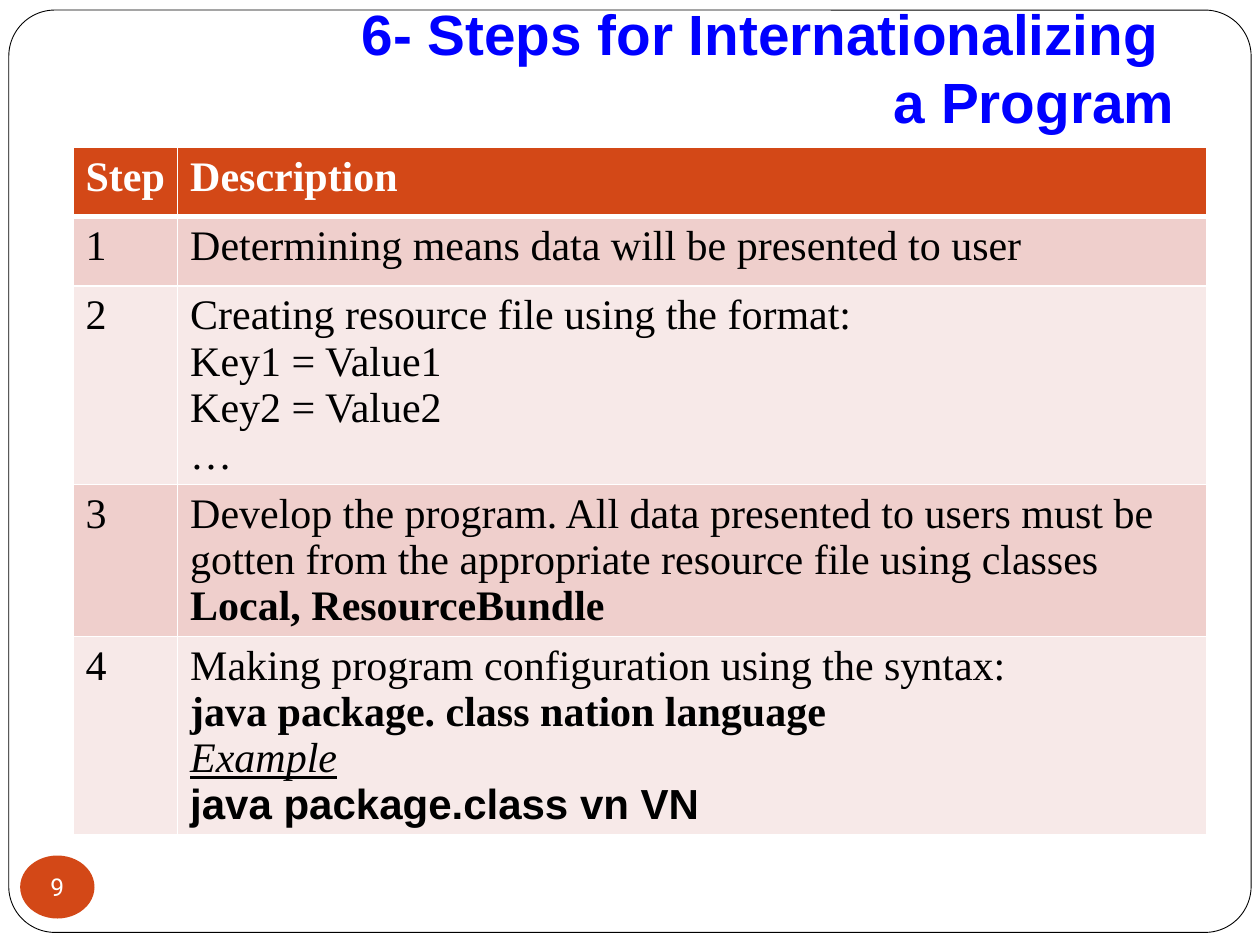
from lxml.etree import SubElement
from pptx import Presentation
from pptx.dml.color import RGBColor
from pptx.enum.shapes import MSO_SHAPE as Shape
from pptx.enum.text import MSO_ANCHOR as Anchor, MSO_AUTO_SIZE as AutoSize, PP_ALIGN as Align
from pptx.oxml.ns import qn
from pptx.util import Inches, Pt

WHITE, BLACK, BLUE, ORANGE = "FFFFFF", "000000", "0000FF", "D34817"
BANDS = ["EFCFCC", "F7E9E8"]
SERIF, SANS, NUMBER_FONT = "Times New Roman", "Arial", "Roboto"
BOLD = {"bold": True}

# Each description is a list of paragraphs, each paragraph a list of (text, style) runs
STEPS = [
    [[("Determining means data will be presented to user", {})]],
    [[("Creating resource file using the format:", {})],
     [("Key1 = Value1", {})],
     [("Key2 = Value2", {})],
     [("…", {})]],
    [[("Develop the program. All data presented to users must be gotten from "
       "the appropriate resource file using classes ", {}),
      ("Local, ResourceBundle", BOLD)]],
    [[("Making program configuration using the syntax:", {})],
     [("java package. class nation language", BOLD)],
     [("Example", {"italic": True, "underline": True})],
     [("java package.class vn VN", {"bold": True, "font": SANS})]],
]
COLUMN_WIDTHS = [0.83, 8.17]
ROW_HEIGHTS = [0.55, 0.55, 1.57, 1.2, 1.57]


def paint(target, color):
    target.solid()
    target.fore_color.rgb = RGBColor.from_string(color)


def add_run(paragraph, text, size, color, font=SERIF, bold=False, italic=False, underline=False):
    run = paragraph.add_run()
    run.text = text
    run.font.size, run.font.name = Pt(size), font
    run.font.bold, run.font.italic, run.font.underline = bold, italic, underline
    run.font.color.rgb = RGBColor.from_string(color)


def set_margins(frame, left, top, right, bottom):
    frame.margin_left, frame.margin_top = Inches(left), Inches(top)
    frame.margin_right, frame.margin_bottom = Inches(right), Inches(bottom)


def add_page_frame(slide, left, top, width, height):
    border = slide.shapes.add_shape(
        Shape.ROUNDED_RECTANGLE, Inches(left), Inches(top), Inches(width), Inches(height))
    border.adjustments[0] = 0.05
    border.shadow.inherit = False
    paint(border.fill, WHITE)
    paint(border.line.fill, BLACK)
    border.line.width = Pt(0.5)
    # The frame lies behind the title
    slide.shapes.title.element.addprevious(border.element)


def place_title(slide, left, top, width, height):
    title = slide.shapes.title
    title.left, title.top = Inches(left), Inches(top)
    title.width, title.height = Inches(width), Inches(height)
    frame = title.text_frame
    frame.word_wrap, frame.auto_size = True, AutoSize.NONE
    frame.vertical_anchor = Anchor.BOTTOM
    set_margins(frame, 0.1, 0.05, 0.1, 0.1)
    heading = frame.paragraphs[0]
    heading.alignment = Align.RIGHT
    add_run(heading, "6- Steps for Internationalizing ", 32.4, BLUE, SANS, bold=True)
    heading.add_line_break()
    add_run(heading, "a Program", 32.4, BLUE, SANS, bold=True)


def add_page_number(slide, left, top, width, height):
    badge = slide.shapes.add_shape(
        Shape.OVAL, Inches(left), Inches(top), Inches(width), Inches(height))
    badge.shadow.inherit = False
    paint(badge.fill, ORANGE)
    badge.line.fill.background()
    frame = badge.text_frame
    frame.word_wrap, frame.vertical_anchor = False, Anchor.MIDDLE
    set_margins(frame, 0, 0, 0, 0)
    frame.paragraphs[0].alignment = Align.CENTER
    add_run(frame.paragraphs[0], "9", 14, WHITE, NUMBER_FONT)


def set_borders(cell, **widths):
    properties = cell._tc.get_or_add_tcPr()
    for side in "LRTB":
        line = SubElement(properties, qn(f"a:ln{side}"), w=str(Pt(widths.get(side, 1))))
        fill = SubElement(line, qn("a:solidFill"))
        SubElement(fill, qn("a:srgbClr"), val=WHITE)


def fill_cell(cell, paragraphs, fill, color=BLACK, **borders):
    set_borders(cell, **borders)
    paint(cell.fill, fill)
    frame = cell.text_frame
    for index, runs in enumerate(paragraphs):
        paragraph = frame.add_paragraph() if index else frame.paragraphs[0]
        for text, style in runs:
            add_run(paragraph, text, 24, color, **style)


def add_steps_table(slide, left, top):
    table = slide.shapes.add_table(
        len(ROW_HEIGHTS), len(COLUMN_WIDTHS), Inches(left), Inches(top),
        Inches(sum(COLUMN_WIDTHS)), Inches(sum(ROW_HEIGHTS))).table
    for column, width in zip(table.columns, COLUMN_WIDTHS):
        column.width = Inches(width)
    for row, height in zip(table.rows, ROW_HEIGHTS):
        row.height = Inches(height)
    # Header row
    for column, label in enumerate(["Step", "Description"]):
        fill_cell(table.cell(0, column), [[(label, BOLD)]], ORANGE, WHITE, B=3)
    # Banded step rows
    for number, description in enumerate(STEPS, start=1):
        band = BANDS[(number - 1) % 2]
        top_width = 3 if number == 1 else 1
        fill_cell(table.cell(number, 0), [[(str(number), {})]], band, T=top_width)
        fill_cell(table.cell(number, 1), description, band, T=top_width)


def main():
    deck = Presentation()
    deck.slide_width, deck.slide_height = Inches(10), Inches(7.5)
    slide = deck.slides.add_slide(deck.slide_layouts[5])
    add_page_frame(slide, 0.07, 0.08, 9.86, 7.32)
    place_title(slide, 1, 0, 8.42, 1.17)
    add_page_number(slide, 0.16, 6.79, 0.59, 0.5)
    add_steps_table(slide, 0.58, 1.17)
    deck.save("out.pptx")


if __name__ == "__main__":
    main()
